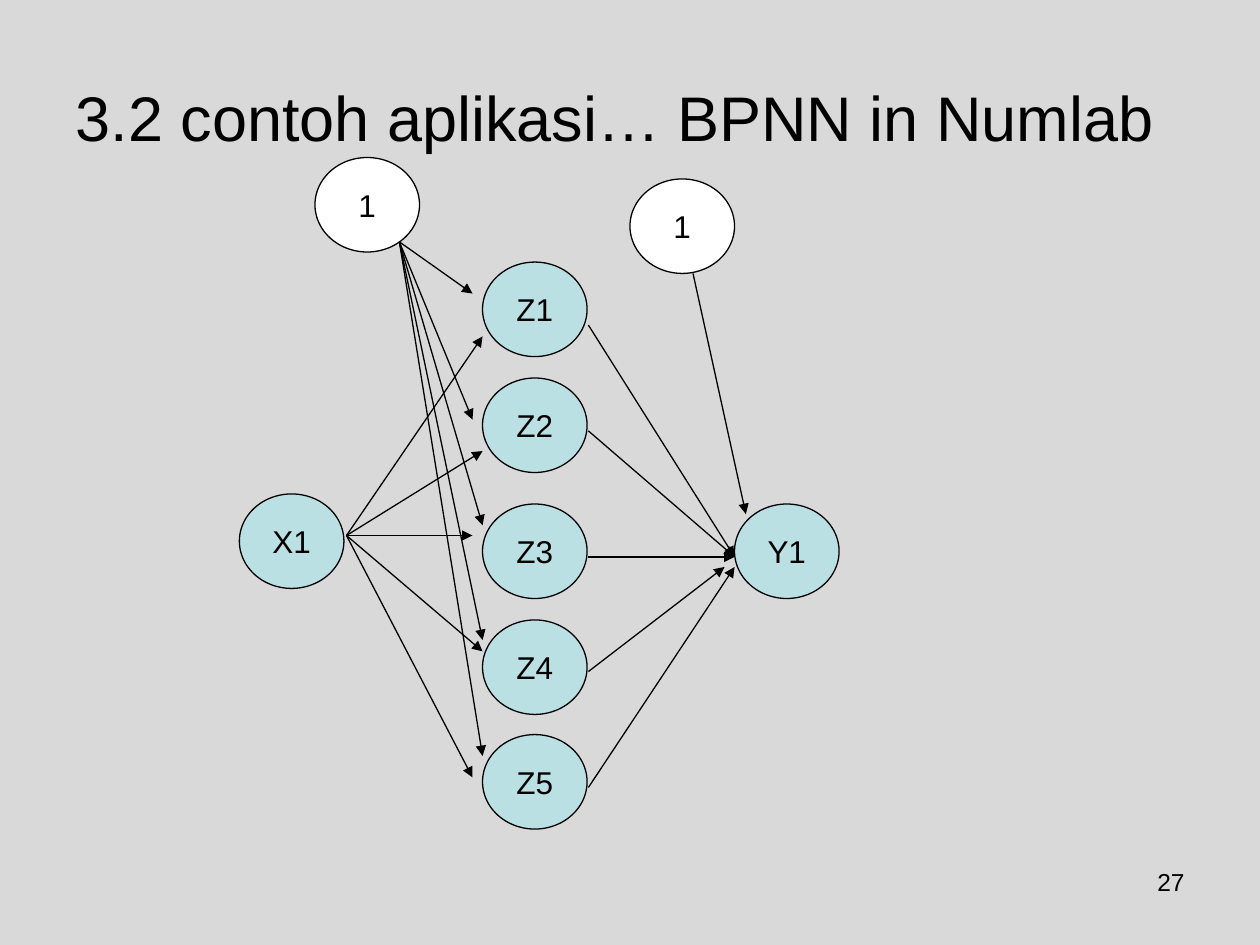
from dataclasses import dataclass

from lxml import etree
from pptx import Presentation
from pptx.dml.color import RGBColor
from pptx.enum.shapes import MSO_CONNECTOR, MSO_SHAPE
from pptx.enum.text import MSO_ANCHOR, PP_ALIGN
from pptx.oxml.ns import qn
from pptx.util import Inches, Pt

ELLIPSE, STRAIGHT = MSO_SHAPE.OVAL, MSO_CONNECTOR.STRAIGHT
LEFT, CENTER, RIGHT = PP_ALIGN.LEFT, PP_ALIGN.CENTER, PP_ALIGN.RIGHT
TOP, MIDDLE = MSO_ANCHOR.TOP, MSO_ANCHOR.MIDDLE


@dataclass(frozen=True)
class Theme:
    font: str = "Arial"
    background: RGBColor = RGBColor(0xD9, 0xD9, 0xD9)
    ink: RGBColor = RGBColor(0, 0, 0)
    neuron: RGBColor = RGBColor(0xBB, 0xE0, 0xE3)
    bias: RGBColor = RGBColor(0xFF, 0xFF, 0xFF)
    title_size: int = 36
    node_size: int = 18
    number_size: int = 14
    line_width: float = 0.75


THEME = Theme()

# Content: nodes as (label, left, top), arrows as start -> ends
TITLE = "3.2 contoh aplikasi… BPNN in Numlab"
SLIDE_NUMBER = "27"
NODE_W, NODE_H = 0.83, 0.75
HIDDEN_X = 3.83
HIDDEN_TOPS = [2.08, 3, 4, 4.92, 5.83]
NEURONS = [("X1", 1.9, 3.92), ("Y1", 5.83, 4)] + [
    (f"Z{i}", HIDDEN_X, top) for i, top in enumerate(HIDDEN_TOPS, 1)]
BIASES = [("1", 2.5, 1.25), ("1", 5, 1.42)]

FAN_OUT = {
    (2.75, 4.25): [(3.83, 2.67), (3.83, 3.58), (3.75, 4.25), (3.83, 5.17), (3.75, 6.17)],
    (3.17, 1.92): [(3.75, 2.33), (3.75, 3.33), (3.83, 4.17), (3.83, 5.08), (3.83, 6)],
    (5.5, 2.17): [(5.92, 4.08)],
}
HIDDEN_OUT_X = 4.67
TO_OUTPUT = [(2.58, (5.83, 4.42)), (3.42, (5.83, 4.42)), (4.42, (5.83, 4.42)),
             (5.33, (5.75, 4.5)), (6.25, (5.83, 4.5))]
ARROWS = [(start, end) for start, ends in FAN_OUT.items() for end in ends]
ARROWS += [((HIDDEN_OUT_X, y), end) for y, end in TO_OUTPUT]


def write(shape, text, size, align, anchor, wrap=True):
    tf = shape.text_frame
    tf.word_wrap = wrap
    tf.vertical_anchor = anchor
    p = tf.paragraphs[0]
    p.alignment = align
    r = p.add_run()
    r.text = text
    r.font.name = THEME.font
    r.font.size = Pt(size)
    r.font.color.rgb = THEME.ink


def style_line(line):
    line.color.rgb = THEME.ink
    line.width = Pt(THEME.line_width)


def add_node(s, label, left, top, fill):
    node = s.shapes.add_shape(ELLIPSE, Inches(left), Inches(top),
                              Inches(NODE_W), Inches(NODE_H))
    node.shadow.inherit = False
    node.fill.solid()
    node.fill.fore_color.rgb = fill
    style_line(node.line)
    write(node, label, THEME.node_size, CENTER, MIDDLE, wrap=False)


def add_arrow(s, start, end):
    arrow = s.shapes.add_connector(STRAIGHT, *map(Inches, start + end))
    style_line(arrow.line)
    sp_pr = arrow.element.spPr
    etree.SubElement(sp_pr.find(qn("a:ln")), qn("a:tailEnd"), type="triangle")
    etree.SubElement(sp_pr, qn("a:effectLst"))


prs = Presentation()
prs.slide_width, prs.slide_height = Inches(10), Inches(7.5)
s = prs.slides.add_slide(prs.slide_layouts[5])
s.background.fill.solid()
s.background.fill.fore_color.rgb = THEME.background

# Slide number and title
number = s.shapes.add_textbox(Inches(7.17), Inches(6.83), Inches(2.33), Inches(0.52))
write(number, SLIDE_NUMBER, THEME.number_size, RIGHT, TOP)
title = s.shapes.title
title.left, title.top = Inches(0.5), Inches(0.3)
title.width, title.height = Inches(9), Inches(1.25)
write(title, TITLE, THEME.title_size, LEFT, MIDDLE)

# Network nodes
for nodes, fill in ((NEURONS, THEME.neuron), (BIASES, THEME.bias)):
    for label, left, top in nodes:
        add_node(s, label, left, top, fill)

# Weighted connections
for start, end in ARROWS:
    add_arrow(s, start, end)

prs.save("out.pptx")
